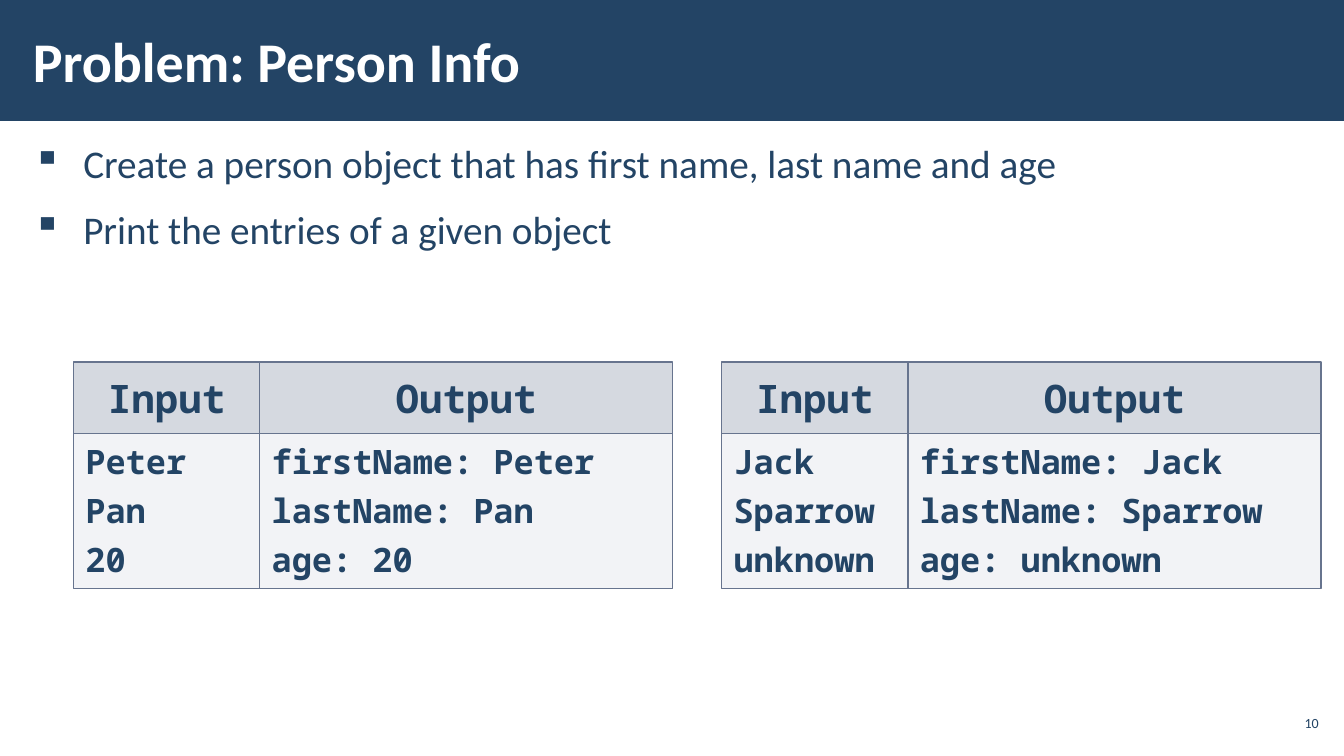
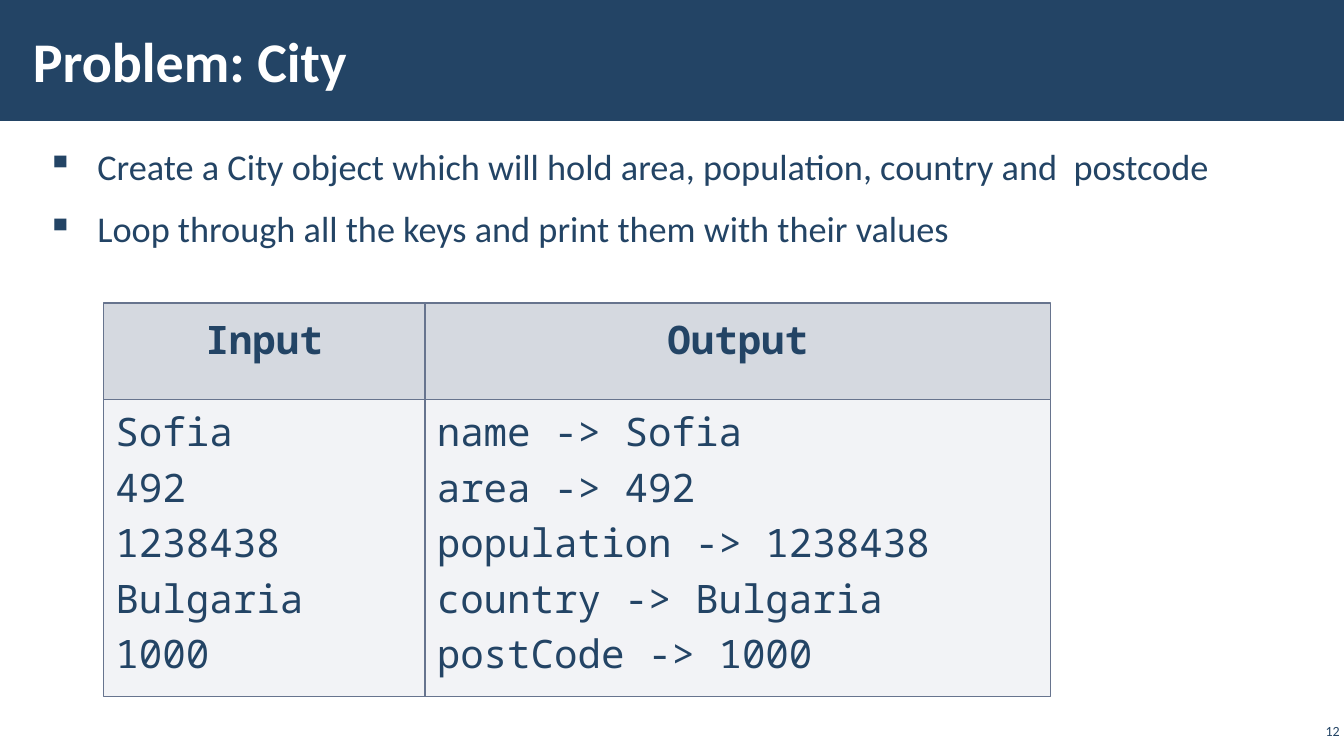
"""Build two problem slides with sample input and output boxes."""
from lxml.etree import SubElement
from pptx import Presentation
from pptx.dml.color import RGBColor
from pptx.enum.shapes import MSO_SHAPE as Shape
from pptx.enum.text import MSO_ANCHOR as Anchor, MSO_AUTO_SIZE as AutoSize, PP_ALIGN as Align
from pptx.oxml.ns import qn
from pptx.util import Pt

NAVY = RGBColor(0x23, 0x44, 0x65)
WHITE = RGBColor(0xFF, 0xFF, 0xFF)
PANEL = RGBColor(0xAD, 0xB4, 0xC3)
BORDER = RGBColor(0x67, 0x74, 0x8E)

BODY_FONT = "Calibri"
CODE_FONT = "Noto Sans Mono"
SLIDE_WIDTH, SLIDE_HEIGHT = 960, 540
BAND_HEIGHT = 86.4
BULLET_INDENT = 36
HEADER_SIZE = 28
HEADER_OPACITY, SAMPLE_OPACITY = 50, 15


def place(shape, left, top, width, height):
    """Set the position and size of a shape in points."""
    shape.left, shape.top = Pt(left), Pt(top)
    shape.width, shape.height = Pt(width), Pt(height)


def set_frame(shape, side, edge, anchor=Anchor.TOP):
    """Set wrapping, margins and anchor, and return the text frame."""
    frame = shape.text_frame
    frame.word_wrap = True
    frame.auto_size = AutoSize.NONE
    frame.vertical_anchor = anchor
    frame.margin_left = frame.margin_right = Pt(side)
    frame.margin_top = frame.margin_bottom = Pt(edge)
    return frame


def write_lines(frame, lines, size, font=BODY_FONT, color=NAVY, bold=False,
                align=Align.LEFT, before=0):
    """Write one paragraph per line and return the paragraphs."""
    for number, line in enumerate(lines):
        paragraph = frame.add_paragraph() if number else frame.paragraphs[0]
        paragraph.alignment = align
        paragraph.space_before = Pt(before)
        run = paragraph.add_run()
        run.text = line
        run.font.name = font
        run.font.size = Pt(size)
        run.font.bold = bold
        run.font.color.rgb = color
    return frame.paragraphs


def add_filled_box(shapes, left, top, width, height, color):
    """Add a flat rectangle without an outline."""
    box = shapes.add_shape(Shape.RECTANGLE, Pt(left), Pt(top), Pt(width), Pt(height))
    box.shadow.inherit = False
    box.fill.solid()
    box.fill.fore_color.rgb = color
    box.line.fill.background()
    return box


def add_band(slide):
    """Put the title band on the layout that the slides share."""
    band = add_filled_box(slide.shapes, 0, 0, SLIDE_WIDTH, BAND_HEIGHT, NAVY)
    slide.slide_layout.shapes.element.insert(2, band.element)


def add_title(slide, text):
    """Move and fill the title placeholder."""
    title = slide.shapes.title
    place(title, 15, 8, 749, 70)
    frame = set_frame(title, 8.5, 3, Anchor.MIDDLE)
    write_lines(frame, [text], 40, color=WHITE, bold=True)


def add_bullets(slide, area, lines, size):
    """Add the task description as a bulleted list."""
    tasks = slide.shapes.add_textbox(*map(Pt, area))
    for paragraph in write_lines(set_frame(tasks, 8.5, 3), lines, size, before=6):
        paragraph.line_spacing = 1.05
        paragraph.space_after = Pt(6)
        properties = paragraph._p.get_or_add_pPr()
        properties.set("marL", str(Pt(BULLET_INDENT)))
        properties.set("indent", str(-Pt(BULLET_INDENT)))
        SubElement(properties, qn("a:buChar"), char="▪")


def add_page_number(slide, area, number):
    """Add the page number at the lower right."""
    label = slide.shapes.add_textbox(*map(Pt, area))
    frame = set_frame(label, 3, 3, Anchor.MIDDLE)
    write_lines(frame, [number], 10, align=Align.RIGHT)


def add_panel(group, area, opacity):
    """Add a translucent bordered rectangle to a group."""
    panel = add_filled_box(group.shapes, *area, PANEL)
    tint = panel.element.spPr.find(qn("a:solidFill")).find(qn("a:srgbClr"))
    SubElement(tint, qn("a:alpha"), val=str(opacity * 1000))
    panel.line.color.rgb = BORDER
    panel.line.width = Pt(1)
    return panel


def add_sample(slide, left, top, widths, heights, columns, size, bold):
    """Add a group of headed input and output columns."""
    group = slide.shapes.add_group_shape()
    header_height, sample_height = heights
    for (heading, lines), width in zip(columns.items(), widths):
        sample_area = (left, top + header_height, width, sample_height)
        sample = add_panel(group, sample_area, SAMPLE_OPACITY)
        write_lines(set_frame(sample, 8.5, 5.5), lines, size, CODE_FONT, bold=bold, before=6)
        header = add_panel(group, (left, top, width, header_height), HEADER_OPACITY)
        write_lines(set_frame(header, 8.5, 8.5), [heading], HEADER_SIZE, CODE_FONT,
                    bold=True, align=Align.CENTER)
        left += width


def add_person_slide(slide):
    """Fill the slide on the person object."""
    add_bullets(slide, (15, 94.5, 930, 410), [
        "Create a person object that has first name, last name and age",
        "Print the entries of a given object",
    ], 28)
    add_title(slide, "Problem: Person Info")
    add_page_number(slide, (911, 504, 34, 24.5), "10")
    people = [("Peter", "Pan", "20"), ("Jack", "Sparrow", "unknown")]
    for left, person in zip((52.5, 515.5), people):
        entries = zip(("firstName", "lastName", "age"), person)
        columns = {"Input": person, "Output": [f"{key}: {value}" for key, value in entries]}
        add_sample(slide, left, 258.5, (133, 295), (51, 111), columns, 24, True)


def add_city_slide(slide):
    """Fill the slide on the city object."""
    add_bullets(slide, (25, 98.5, 901, 111), [
        "Create a City object which will hold area, population, country and  postcode",
        "Loop through all the keys and print them with their values",
    ], 25.9)
    add_title(slide, "Problem: City")
    add_page_number(slide, (926, 514, 34, 16), "12")
    city = {"name": "Sofia", "area": "492", "population": "1238438",
            "country": "Bulgaria", "postCode": "1000"}
    columns = {"Input": city.values(),
               "Output": [f"{key} -> {value}" for key, value in city.items()]}
    add_sample(slide, 74, 216.5, (229.5, 447), (69, 212), columns, 28, False)


def main():
    """Build and save the presentation."""
    deck = Presentation()
    deck.slide_width, deck.slide_height = Pt(SLIDE_WIDTH), Pt(SLIDE_HEIGHT)
    title_only = deck.slide_layouts[5]
    person_slide, city_slide = (deck.slides.add_slide(title_only) for _ in range(2))
    add_band(person_slide)
    add_person_slide(person_slide)
    add_city_slide(city_slide)
    deck.save("out.pptx")


if __name__ == "__main__":
    main()
